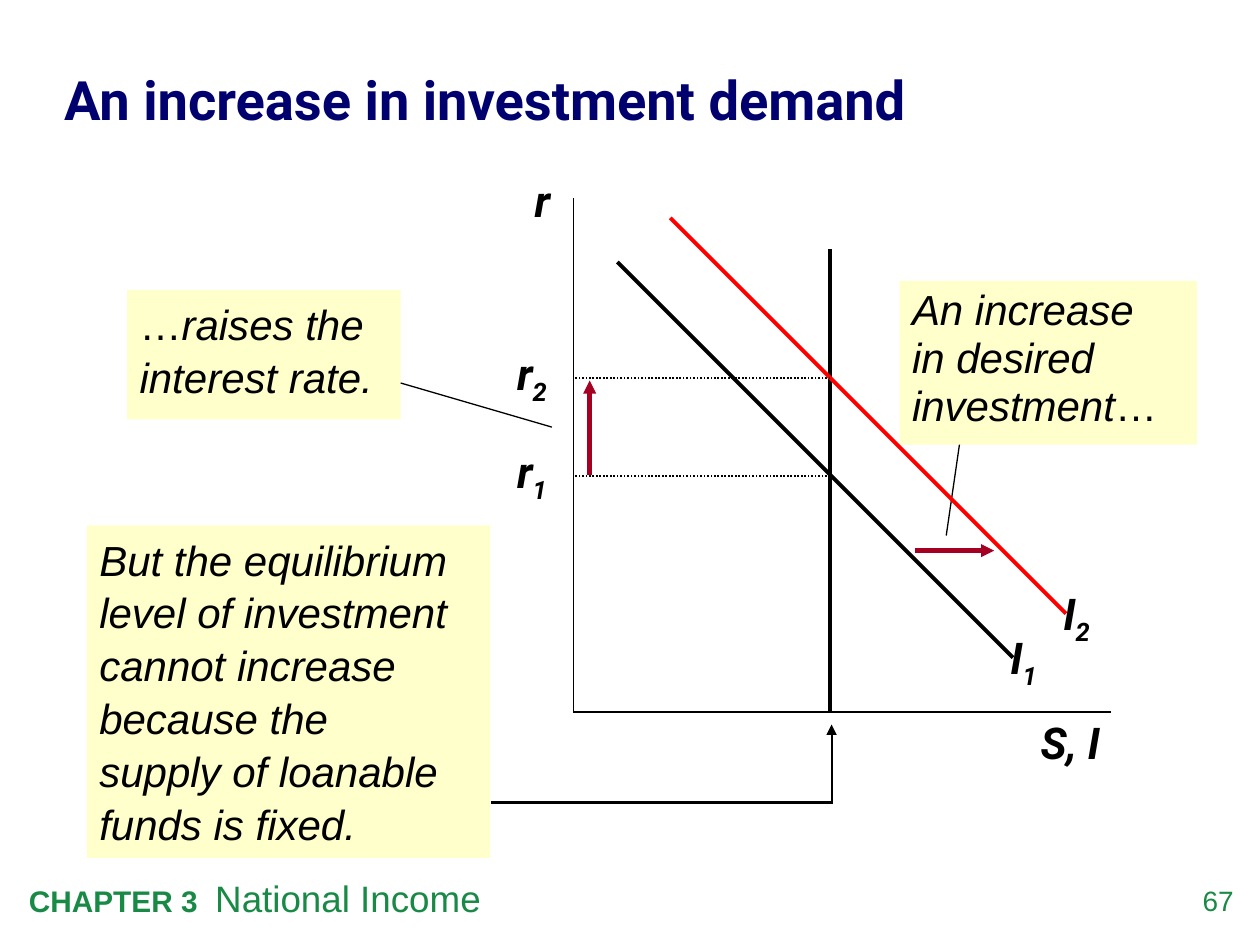
from lxml.etree import SubElement
from pptx import Presentation
from pptx.dml.color import RGBColor
from pptx.enum.dml import MSO_LINE
from pptx.enum.shapes import MSO_CONNECTOR, MSO_SHAPE
from pptx.enum.text import MSO_ANCHOR, PP_ALIGN
from pptx.oxml.ns import qn
from pptx.util import Inches, Pt

COLORS = {
    "ink": "000000",
    "title": "00006E",
    "footer": "198A46",
    "note": "FFFFCC",
    "shifted": "FF0000",
    "change": "A50021",
}
WIDTH, HEIGHT = Inches(10), Inches(7.5)
COLUMN, ROW = WIDTH / 100, HEIGHT / 75
AXIS_X, AXIS_Y, SUPPLY_X = 45.5, 56.5, 65.9


def color(name):
    """Return the named palette colour."""
    return RGBColor.from_string(COLORS[name])


def grid(left, top, width, height):
    """Turn grid columns and rows into slide lengths."""
    return int(left * COLUMN), int(top * ROW), int(width * COLUMN), int(height * ROW)


def write(shape, *runs, font="Arial", size=24, ink="ink", bold=False, italic=False,
          align=PP_ALIGN.LEFT, anchor=MSO_ANCHOR.TOP, spacing=1.0, inset=True, tab=None):
    """Fill a shape with one paragraph of (text, changes) runs."""
    frame = shape.text_frame
    frame.word_wrap = True
    frame.vertical_anchor = anchor
    if not inset:
        frame.margin_left = frame.margin_right = frame.margin_top = frame.margin_bottom = 0
    paragraph = frame.paragraphs[0]
    paragraph.alignment = align
    paragraph.line_spacing = spacing
    if tab:
        stops = SubElement(paragraph._p.get_or_add_pPr(), qn("a:tabLst"))
        SubElement(stops, qn("a:tab"), pos=str(int(tab * COLUMN)), algn="l")
    for text, changes in runs:
        for index, line in enumerate(text.split("\n")):
            if index:
                paragraph.add_line_break()
            run = paragraph.add_run()
            run.text = line
            run.font.name = font
            run.font.size = Pt(changes.get("size", size))
            run.font.bold = changes.get("bold", bold)
            run.font.italic = changes.get("italic", italic)
            run.font.color.rgb = color(ink)
            if changes.get("subscript"):
                run._r.get_or_add_rPr().set("baseline", "-25000")


def add_text(slide, box, *runs, **style):
    """Add a plain text box on the grid."""
    write(slide.shapes.add_textbox(*grid(*box)), *runs, **style)


def add_note(slide, box, *runs, spacing=1.05):
    """Add a yellow explanatory box."""
    note = slide.shapes.add_shape(MSO_SHAPE.RECTANGLE, *grid(*box))
    note.shadow.inherit = False
    note.fill.solid()
    note.fill.fore_color.rgb = color("note")
    note.line.fill.background()
    write(note, *runs, italic=True, spacing=spacing)


def add_symbol(slide, box, letter, subscript="", align=PP_ALIGN.LEFT):
    """Label the graph with a letter and an optional subscript."""
    runs = [(letter, {})]
    if subscript:
        runs.append((subscript, {"subscript": True}))
    add_text(slide, box, *runs, font="Roboto", size=25, bold=True, italic=True, align=align)


def add_line(slide, start, end, ink="ink", weight=0.75, dash=None, arrow=False):
    """Draw a straight line between two grid points."""
    line = slide.shapes.add_connector(MSO_CONNECTOR.STRAIGHT, *grid(*start, *end))
    line.line.color.rgb = color(ink)
    line.line.width = Pt(weight)
    if dash:
        line.line.dash_style = dash
    if arrow:
        SubElement(line.line._get_or_add_ln(), qn("a:tailEnd"), type="triangle")
    SubElement(line._element.spPr, qn("a:effectLst"))


def add_axes(slide):
    """Draw the axes and their names."""
    origin = (AXIS_X, AXIS_Y)
    add_line(slide, (AXIS_X, 15.7), origin)
    add_line(slide, origin, (88.2, AXIS_Y))
    add_symbol(slide, (40.7, 13.3, 4.7, 5.2), "r", align=PP_ALIGN.CENTER)
    add_symbol(slide, (80.1, 56.3, 9.7, 5.2), "S, I", align=PP_ALIGN.CENTER)


def add_investment_curve(slide, left, top, subscript, ink):
    """Draw a falling investment curve with its label."""
    add_line(slide, (left, top), (left + 31.4, top + 31.4), ink=ink, weight=2.25)
    add_symbol(slide, (left + 30.2, top + 28.8, 9.2, 5.2), "I", subscript)


def add_rate(slide, level, subscript):
    """Mark an equilibrium interest rate."""
    add_line(slide, (SUPPLY_X, level), (AXIS_X, level), weight=1, dash=MSO_LINE.ROUND_DOT)
    add_symbol(slide, (40.05, level - 3, 5.8, 5.2), "r", subscript)


def add_footer(slide):
    """Add the chapter line and the page number."""
    add_text(slide, (92.4, 70.1, 5.5, 3.2), ("67", {}), size=16, ink="footer",
             align=PP_ALIGN.RIGHT, inset=False)
    add_text(slide, (1.3, 69, 81.8, 4.5), ("CHAPTER 3", {"bold": True}),
             ("\tNational Income", {"size": 21}), size=17, ink="footer", tab=14.8)


def main():
    """Build and save the slide."""
    deck = Presentation()
    deck.slide_width, deck.slide_height = WIDTH, HEIGHT
    slide = deck.slides.add_slide(deck.slide_layouts[6])
    add_footer(slide)
    add_text(slide, (5.1, 2.6, 90.2, 10.3), ("An increase in investment demand", {}),
             font="Roboto", size=31, ink="title", bold=True, spacing=1.05,
             anchor=MSO_ANCHOR.MIDDLE, inset=False)

    add_line(slide, (76.7, 31.5), (75.1, 42.5))
    add_note(slide, (71.4, 22.3, 23.6, 13), ("An increase\nin desired investment", {}),
             ("…", {"italic": False}), spacing=0.95)

    add_axes(slide)
    add_investment_curve(slide, 49, 20.8, "1", "ink")
    add_line(slide, (SUPPLY_X, AXIS_Y), (SUPPLY_X, 19.8), weight=2.25)
    add_investment_curve(slide, 53.2, 17.3, "2", "shifted")
    add_rate(slide, 37.8, "1")
    add_rate(slide, 30, "2")
    add_line(slide, (46.8, 37.7), (46.8, 30.2), ink="change", weight=2.5, arrow=True)
    add_line(slide, (72.6, 43.7), (78.9, 43.7), ink="change", weight=2.5, arrow=True)

    add_note(slide, (10.1, 23, 21.7, 10.3), ("…", {"italic": False}),
             ("raises the interest rate.", {}))
    add_line(slide, (31.8, 30.4), (43.8, 33.9))
    add_note(slide, (6.9, 41.7, 32, 26.4),
             ("But the equilibrium level of investment cannot increase because the\n"
              "supply of loanable\nfunds is fixed.", {}))
    add_line(slide, (39, 63.7), (66.1, 63.7), weight=1.25)
    add_line(slide, (66, 63.6), (66, 57.5), weight=1.25, arrow=True)
    deck.save("out.pptx")


if __name__ == "__main__":
    main()
